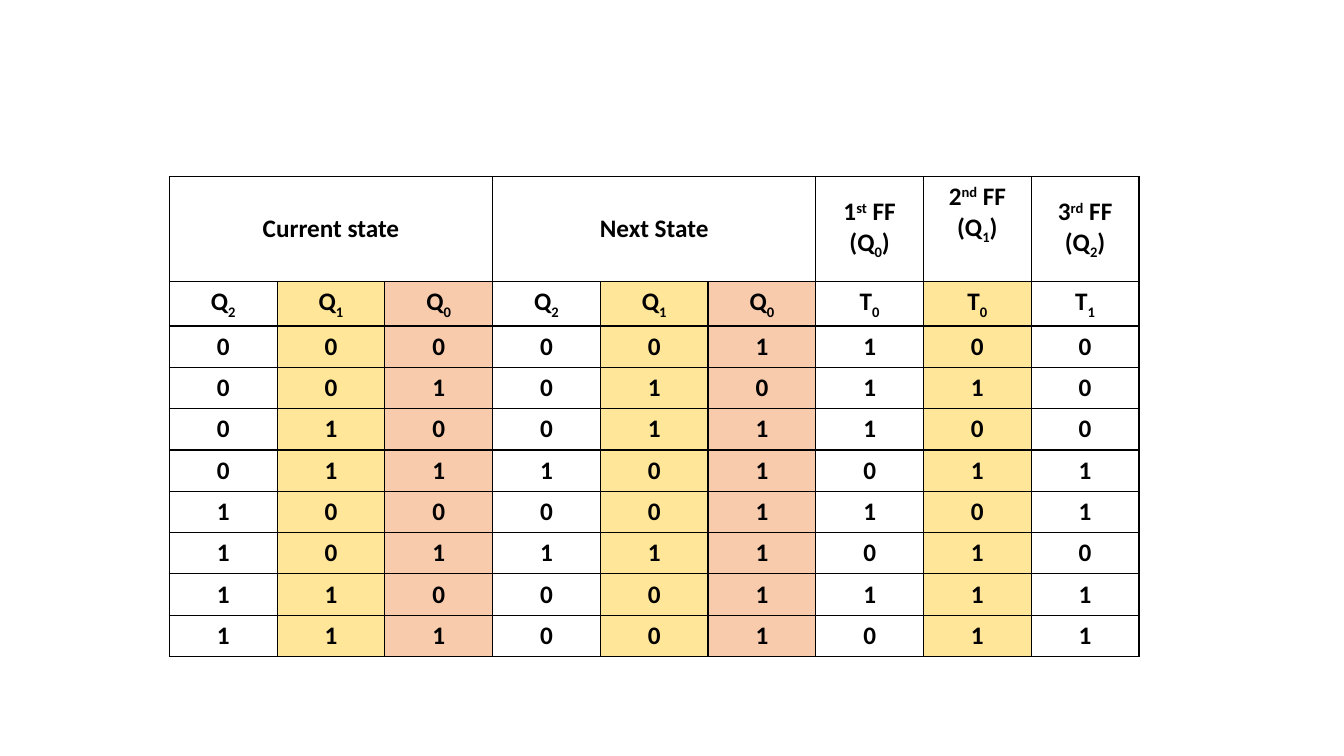
from lxml.etree import SubElement
from pptx import Presentation
from pptx.dml.color import RGBColor
from pptx.enum.text import MSO_ANCHOR, PP_ALIGN
from pptx.oxml.ns import qn
from pptx.util import Inches, Pt

BLACK = RGBColor(0x00, 0x00, 0x00)
YELLOW = RGBColor(0xFF, 0xE6, 0x99)
ORANGE = RGBColor(0xF8, 0xCB, 0xAD)

# In cell text, "|" separates runs, "^" marks superscript and "_" subscript.
BASELINES = {"^": "30000", "_": "-25000"}
HEADINGS = ["Current state", "", "", "Next State", "", "",
            "1|^st| FF (Q|_0|)", "2|^nd| FF (Q|_1|)", "3|^rd| FF (Q|_2|)"]
SIGNALS = ["Q|_2", "Q|_1", "Q|_0"] * 2 + ["T|_0", "T|_0", "T|_1"]
STATES = ["000001100", "001010110", "010011100", "011101011",
          "100001101", "101111010", "110001111", "111001011"]
ROWS = [HEADINGS, SIGNALS, *STATES]
COLUMN_FILLS = [None, YELLOW, ORANGE, None, YELLOW, ORANGE, None, YELLOW, None]
ROW_HEIGHTS = [1.04, 0.44] + [0.41] * len(STATES)


def add_borders(cell):
    properties = cell._tc.get_or_add_tcPr()
    for side in ("lnL", "lnR", "lnT", "lnB"):
        line = SubElement(properties, qn(f"a:{side}"), w=str(Pt(1)))
        fill = SubElement(line, qn("a:solidFill"))
        SubElement(fill, qn("a:srgbClr"), val=str(BLACK))


def write_marked_text(cell, text):
    """Write centred bold text, raising or lowering the marked runs."""
    cell.vertical_anchor = MSO_ANCHOR.MIDDLE
    para = cell.text_frame.paragraphs[0]
    para.alignment = PP_ALIGN.CENTER
    for part in text.split("|"):
        span = para.add_run()
        span.text = part.lstrip("^_")
        span.font.name = "Calibri"
        span.font.size = Pt(18)
        span.font.bold = True
        span.font.color.rgb = BLACK
        if part[0] in BASELINES:
            span._r.get_or_add_rPr().set("baseline", BASELINES[part[0]])


deck = Presentation()
deck.slide_width = Inches(13.33)
deck.slide_height = Inches(7.5)
page = deck.slides.add_slide(deck.slide_layouts[6])

table = page.shapes.add_table(
    len(ROWS), len(SIGNALS), Inches(1.68), Inches(1.75),
    Inches(9.62), Inches(sum(ROW_HEIGHTS))).table
table.first_row = False
table.horz_banding = False

for row_index, texts in enumerate(ROWS):
    table.rows[row_index].height = Inches(ROW_HEIGHTS[row_index])
    for column_index, text in enumerate(texts):
        cell = table.cell(row_index, column_index)
        add_borders(cell)
        color = COLUMN_FILLS[column_index]
        if row_index > 0 and color:
            cell.fill.solid()
            cell.fill.fore_color.rgb = color
        else:
            cell.fill.background()
        if text:
            write_marked_text(cell, text)

for first_column in (0, 3):
    table.cell(0, first_column).merge(table.cell(0, first_column + 2))

# The second flip-flop heading sits higher than its neighbours.
table.cell(0, 7).margin_bottom = Inches(0.35)

deck.save("out.pptx")
